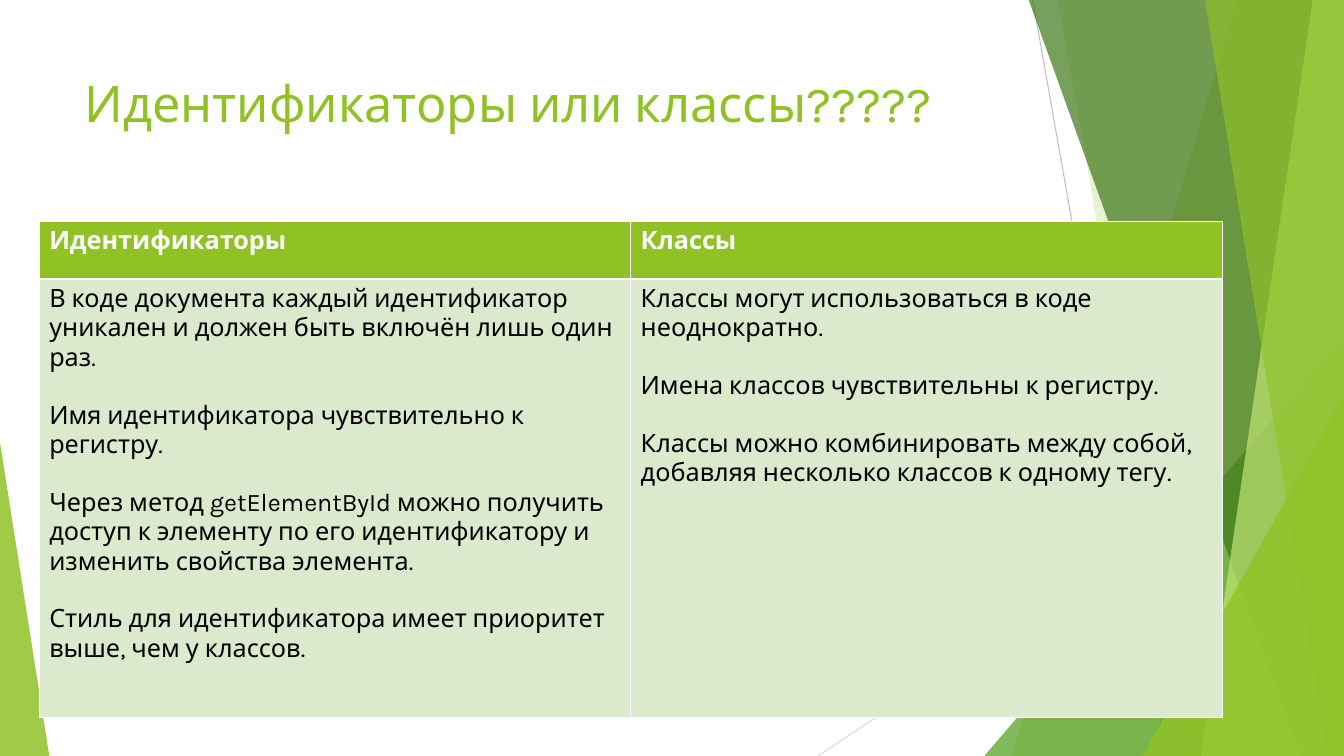
import lxml.etree
import pptx
import pptx.dml.color
import pptx.enum.shapes
import pptx.enum.text
import pptx.oxml.ns
import pptx.util

COLORS = {
    "green": "90C226", "leaf": "54A021", "forest": "3F7819", "lime": "C0E474",
    "pale": "DBE9CD", "gray": "BFBFBF", "silver": "D9D9D9",
    "white": "FFFFFF", "black": "000000",
}
FACETS = [
    ("band", 92.05, 75.26, "green", 30),
    ("band", 78.71, 88.61, "green", 20),
    ("triangle", (73.24, 44.4, 26.76, 55.6), 1, "leaf", 72),
    ("band", 76.54, 96.78, "forest", 70),
    ("band", 97.68, 89.36, "lime", 70),
    ("band", 89.66, 98.8, "green", 65),
    ("triangle", (85.01, 52.4, 14.99, 47.6), 1, "green", 80),
    ("triangle", (0, 58.53, 3.67, 41.47), 0, "green", 85),
]
HEADERS = ["Идентификаторы", "Классы"]
BODIES = [
    [
        "В коде документа каждый идентификатор уникален и должен быть включён лишь один раз.",
        "Имя идентификатора чувствительно к регистру.",
        "Через метод getElementById можно получить доступ к элементу по его идентификатору и изменить свойства элемента.",
        "Стиль для идентификатора имеет приоритет выше, чем у классов.",
    ],
    [
        "Классы могут использоваться в коде неоднократно.",
        "Имена классов чувствительны к регистру.",
        "Классы можно комбинировать между собой, добавляя несколько классов к одному тегу.",
    ],
]


class Deck:
    font = "Karla"
    gap = 20
    thin, thick = 0.45, 1.47

    def __init__(self, width, height):
        self.prs = pptx.Presentation()
        self.prs.slide_width = pptx.util.Inches(width)
        self.prs.slide_height = pptx.util.Inches(height)
        self.s = self.prs.slides.add_slide(self.prs.slide_layouts[6])

    def x(self, percent):
        return round(self.prs.slide_width * percent / 100)

    def y(self, percent):
        return round(self.prs.slide_height * percent / 100)

    def box(self, left, top, width, height):
        return self.x(left), self.y(top), self.x(width), self.y(height)

    def color(self, name):
        return pptx.dml.color.RGBColor.from_string(COLORS[name])

    def sub(self, parent, tag, **attrs):
        return lxml.etree.SubElement(parent, pptx.oxml.ns.qn(tag), **attrs)

    def line(self, x1, y1, x2, y2, color):
        sp = self.s.shapes.add_connector(
            pptx.enum.shapes.MSO_CONNECTOR.STRAIGHT,
            self.x(x1), self.y(y1), self.x(x2), self.y(y2))
        sp.line.color.rgb = self.color(color)
        sp.line.width = pptx.util.Pt(0.75)
        self.sub(sp._element.spPr, "a:effectLst")

    def paint(self, sp, color, opacity):
        sp.shadow.inherit = False
        sp.line.fill.background()
        sp.fill.solid()
        sp.fill.fore_color.rgb = self.color(color)
        clr = sp._element.spPr.find(".//" + pptx.oxml.ns.qn("a:srgbClr"))
        self.sub(clr, "a:alpha", val=str(opacity * 1000))

    def band(self, top_x, bottom_x, color, opacity):
        fb = self.s.shapes.build_freeform(self.x(top_x), 0)
        fb.add_line_segments([
            (self.x(100), 0), (self.x(100), self.y(100)),
            (self.x(bottom_x), self.y(100))], close=True)
        self.paint(fb.convert_to_shape(), color, opacity)

    def triangle(self, area, apex, color, opacity):
        sp = self.s.shapes.add_shape(
            pptx.enum.shapes.MSO_SHAPE.ISOSCELES_TRIANGLE, *self.box(*area))
        sp.adjustments[0] = apex
        self.paint(sp, color, opacity)

    def text(self, tf, paragraphs, size, color, bold=False):
        for i, words in enumerate(paragraphs):
            p = tf.add_paragraph() if i else tf.paragraphs[0]
            if i:
                p.space_before = pptx.util.Pt(self.gap)
            r = p.add_run()
            r.text = words
            r.font.name = self.font
            r.font.size = pptx.util.Pt(size)
            r.font.bold = bold
            r.font.color.rgb = self.color(color)

    def title(self, words, area):
        tf = self.s.shapes.add_textbox(*self.box(*area)).text_frame
        tf.word_wrap = True
        tf.vertical_anchor = pptx.enum.text.MSO_ANCHOR.TOP
        self.text(tf, [words], 36, "green")

    def cell(self, cell, paragraphs, header):
        top, bottom = (self.thin, self.thick) if header else (self.thick, self.thin)
        tc_pr = cell._tc.get_or_add_tcPr()
        for side, width in zip("LRTB", (self.thin, self.thin, top, bottom)):
            ln = self.sub(tc_pr, "a:ln" + side, w=str(int(pptx.util.Pt(width))))
            fill = self.sub(ln, "a:solidFill")
            self.sub(fill, "a:srgbClr", val=COLORS["white"])
        cell.fill.solid()
        cell.fill.fore_color.rgb = self.color("green" if header else "pale")
        self.text(cell.text_frame, paragraphs, 18,
                  "white" if header else "black", header)

    def table(self, headers, bodies, area, heights):
        tbl = self.s.shapes.add_table(2, len(headers), *self.box(*area)).table
        tbl.first_row = tbl.horz_banding = False
        for row, height in zip(tbl.rows, heights):
            row.height = self.y(height)
        for col, (header, body) in enumerate(zip(headers, bodies)):
            self.cell(tbl.cell(0, col), [header], True)
            self.cell(tbl.cell(1, col), body, False)


def main():
    deck = Deck(13.34, 7.5)
    deck.line(76.84, 0, 86.81, 100, "gray")
    deck.line(100, 53.73, 60.87, 100, "silver")
    draw = {"band": deck.band, "triangle": deck.triangle}
    for kind, *facet in FACETS:
        draw[kind](*facet)
    deck.title("Идентификаторы или классы?????", (5.55, 8.93, 70.46, 19.2))
    deck.table(HEADERS, BODIES, (2.92, 29.33, 88.01, 65.6), (7.6, 58))
    deck.prs.save("out.pptx")


if __name__ == "__main__":
    main()
